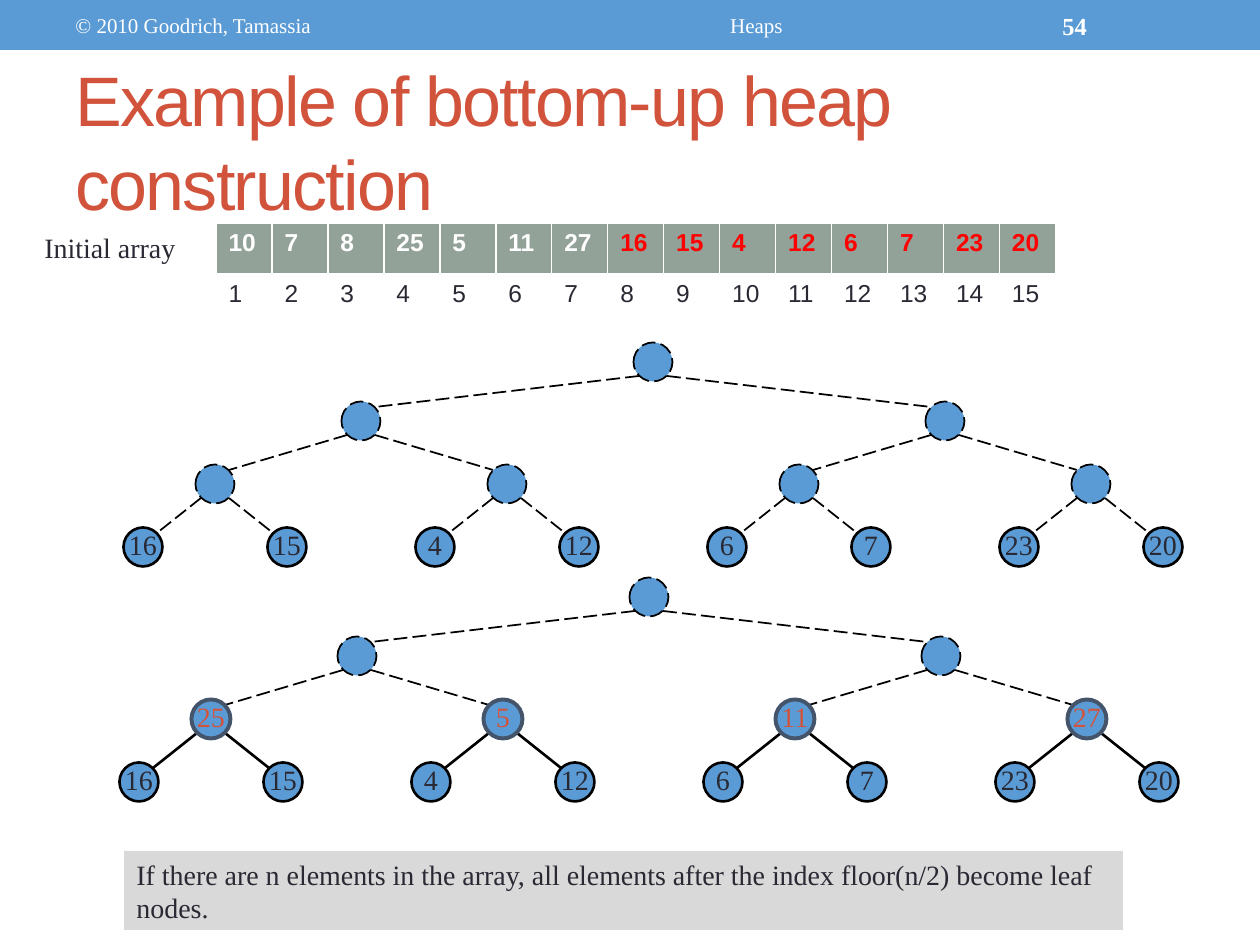
from lxml.etree import SubElement
from pptx import Presentation
from pptx.dml.color import RGBColor
from pptx.enum.dml import MSO_LINE
from pptx.enum.shapes import MSO_CONNECTOR, MSO_SHAPE
from pptx.enum.text import MSO_ANCHOR, PP_ALIGN
from pptx.oxml.ns import qn
from pptx.util import Emu, Pt

EMU_PER_PX = 914400 / 126
WHITE = RGBColor(0xFF, 0xFF, 0xFF)
BLACK = RGBColor(0x00, 0x00, 0x00)
BLUE = RGBColor(0x5B, 0x9B, 0xD5)
SLATE = RGBColor(0x44, 0x54, 0x6A)
RUST = RGBColor(0xD2, 0x53, 0x3C)
INK = RGBColor(0x29, 0x29, 0x34)
RED = RGBColor(0xFF, 0x00, 0x00)
SAGE = RGBColor(0x93, 0xA2, 0x99)
GRAY = RGBColor(0xD9, 0xD9, 0xD9)
SERIF = "Times New Roman"
SANS = "Arial"

ARRAY = [10, 7, 8, 25, 5, 11, 27, 16, 15, 4, 12, 6, 7, 23, 20]
FIRST_LEAF = len(ARRAY) // 2 + 1
COLUMN_WIDTH = 56
ROW_HEIGHT = 51
NODE_SIZE = 39
EDGE_INSET = 14
LEVEL_DROPS = [0, 59, 122, 185]
CHILD_OFFSETS = [292, 146, 72]


def px(value):
    return Emu(round(value * EMU_PER_PX))


def box(*lengths):
    return [px(length) for length in lengths]


def format_text(text_frame, text, size, color, font=SERIF, bold=False, align=PP_ALIGN.LEFT):
    text_frame.text = text
    paragraph = text_frame.paragraphs[0]
    paragraph.alignment = align
    run_font = paragraph.runs[0].font
    run_font.name = font
    run_font.size = Pt(size)
    run_font.bold = bold
    run_font.color.rgb = color


def add_label(slide, bounds, text, size, color, **style):
    text_frame = slide.shapes.add_textbox(*box(*bounds)).text_frame
    text_frame.word_wrap = True
    text_frame.vertical_anchor = MSO_ANCHOR.MIDDLE
    format_text(text_frame, text, size, color, **style)
    return text_frame


def add_panel(slide, bounds, fill, text=None):
    shape = slide.shapes.add_shape(MSO_SHAPE.RECTANGLE, *box(*bounds))
    shape.shadow.inherit = False
    shape.fill.solid()
    shape.fill.fore_color.rgb = fill
    shape.line.fill.background()
    if text:
        shape.text_frame.word_wrap = True
        shape.text_frame.vertical_anchor = MSO_ANCHOR.TOP
        format_text(shape.text_frame, text, 16, INK)


def style_line(line, color, width, dashed):
    line.color.rgb = color
    line.width = Pt(width)
    if dashed:
        line.dash_style = MSO_LINE.LONG_DASH


def add_edge(slide, parent, child, dashed):
    side = 1 if child[0] > parent[0] else -1
    edge = slide.shapes.add_connector(
        MSO_CONNECTOR.STRAIGHT,
        *box(parent[0] + side * EDGE_INSET, parent[1] + EDGE_INSET,
             child[0] - side * EDGE_INSET, child[1] - EDGE_INSET))
    SubElement(edge._element.spPr, qn("a:effectLst"))
    style_line(edge.line, BLACK, 1 if dashed else 1.5, dashed)


def add_node(slide, center, label, is_leaf):
    left, top = (coordinate - NODE_SIZE / 2 for coordinate in center)
    node = slide.shapes.add_shape(MSO_SHAPE.OVAL, *box(left, top, NODE_SIZE, NODE_SIZE))
    node.shadow.inherit = False
    node.fill.solid()
    node.fill.fore_color.rgb = BLUE
    if label is None:
        style_line(node.line, BLACK, 1, True)
        return
    line_color, width, text_color = (BLACK, 1.5, INK) if is_leaf else (SLATE, 2.25, RUST)
    style_line(node.line, line_color, width, False)
    text_frame = node.text_frame
    text_frame.margin_left = text_frame.margin_right = text_frame.margin_top = 0
    text_frame.margin_bottom = px(6)
    text_frame.word_wrap = False
    text_frame.vertical_anchor = MSO_ANCHOR.MIDDLE
    format_text(text_frame, str(label), 16, text_color, align=PP_ALIGN.CENTER)


def add_heap(slide, root, first_built):
    centers = {1: root}
    for index in range(2, len(ARRAY) + 1):
        parent = index // 2
        level = index.bit_length() - 1
        side = 1 if index % 2 else -1
        centers[index] = (centers[parent][0] + side * CHILD_OFFSETS[level - 1],
                          root[1] + LEVEL_DROPS[level])
        add_edge(slide, centers[parent], centers[index], parent < first_built)
    for index, center in centers.items():
        label = ARRAY[index - 1] if index >= first_built else None
        add_node(slide, center, label, index >= FIRST_LEAF)


def add_array_table(slide, left, top):
    count = len(ARRAY)
    table = slide.shapes.add_table(
        2, count, *box(left, top, count * COLUMN_WIDTH, 2 * ROW_HEIGHT)).table
    table.horz_banding = False
    for row in table.rows:
        row.height = px(ROW_HEIGHT)
    for index, value in enumerate(ARRAY, start=1):
        table.columns[index - 1].width = px(COLUMN_WIDTH)
        value_cell = table.cell(0, index - 1)
        value_cell.fill.solid()
        value_cell.fill.fore_color.rgb = SAGE
        color = RED if index >= FIRST_LEAF else WHITE
        format_text(value_cell.text_frame, str(value), 14, color, font=SANS, bold=True)
        index_cell = table.cell(1, index - 1)
        index_cell.fill.background()
        format_text(index_cell.text_frame, str(index), 14, INK, font=SANS)


def main():
    presentation = Presentation()
    presentation.slide_width = px(1260)
    presentation.slide_height = px(945)
    slide = presentation.slides.add_slide(presentation.slide_layouts[6])

    add_panel(slide, (0, 0, 1260, 50), BLUE)
    add_label(slide, (63, 3, 399, 45), "© 2010 Goodrich, Tamassia", 12, WHITE)
    add_label(slide, (473, 3, 567, 45), "Heaps", 12, WHITE, align=PP_ALIGN.CENTER)
    add_label(slide, (1050, 3, 147, 45), "54", 14, WHITE, bold=True)
    title = add_label(slide, (63, 73, 1134, 136),
                      "Example of bottom-up heap construction", 40, RUST, font=SANS)
    title.paragraphs[0].runs[0].font._element.set("spc", "-100")

    add_heap(slide, (653, 362), FIRST_LEAF)
    add_heap(slide, (649, 597), FIRST_LEAF // 2)
    add_array_table(slide, 216, 223)
    add_panel(slide, (124, 851, 999, 79), GRAY,
              "If there are n elements in the array, all elements after "
              "the index floor(n/2) become leaf nodes.")
    add_panel(slide, (32, 224, 166, 45), WHITE, "Initial array")
    presentation.save("out.pptx")


if __name__ == "__main__":
    main()
